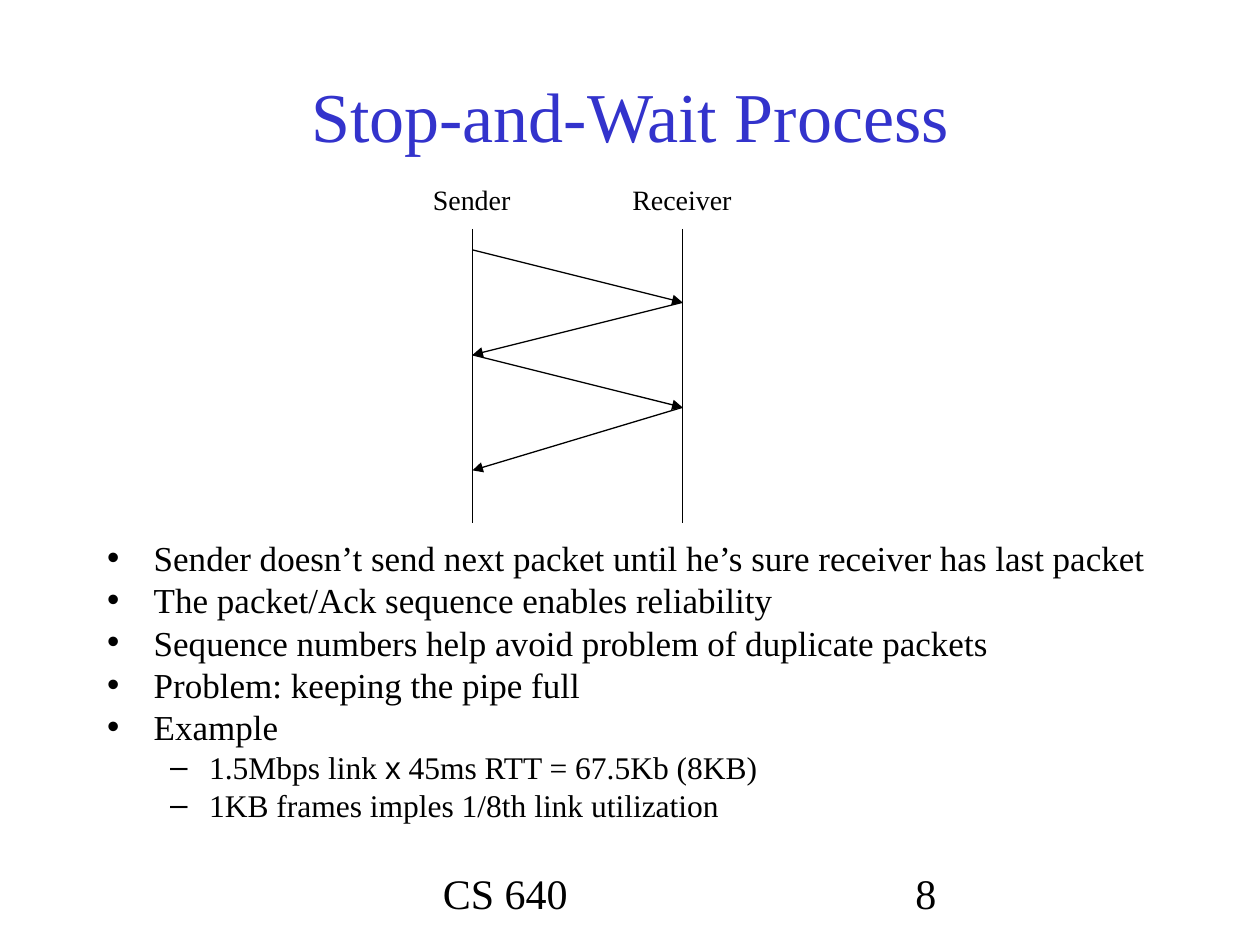
"""Builds the Stop-and-Wait Process slide with its packet exchange diagram."""
from dataclasses import dataclass

from lxml.etree import SubElement
from pptx import Presentation
from pptx.dml.color import RGBColor
from pptx.enum.shapes import MSO_CONNECTOR
from pptx.enum.text import MSO_ANCHOR, MSO_AUTO_SIZE, PP_ALIGN
from pptx.oxml.ns import qn
from pptx.util import Emu, Inches, Pt

COLORS = {"title": "3333CC", "ink": "000000"}
SERIF, SANS = "Times New Roman", "Arial"
WIDTH, HEIGHT = Inches(10), Inches(7.5)
COLUMNS, ROWS = 120, 90
SENDER, RECEIVER = 45, 65
LIFELINE_TOP, LIFELINE_BOTTOM = 21.8, 49.8
EVENT_ROWS = (23.8, 28.8, 33.8, 38.8, 44.8)


@dataclass(frozen=True)
class Box:
    left: float
    top: float
    width: float
    height: float


@dataclass(frozen=True)
class Label:
    text: str
    box: Box
    size: float
    wrap: bool


@dataclass(frozen=True)
class Level:
    bullet: str
    size: float
    margin: float
    hanging: float
    space_before: float


@dataclass(frozen=True)
class Item:
    level: int
    runs: tuple[tuple[str, str], ...]


LEVELS = (Level("•", 20, 0.37, 0.37, 5), Level("–", 18, 0.81, 0.31, 4.5))
ITEMS = (
    Item(0, (("Sender doesn’t send next packet until he’s sure receiver has last packet", SERIF),)),
    Item(0, (("The packet/Ack sequence enables reliability", SERIF),)),
    Item(0, (("Sequence numbers help avoid problem of duplicate packets", SERIF),)),
    Item(0, (("Problem: keeping the pipe full", SERIF),)),
    Item(0, (("Example", SERIF),)),
    Item(1, (("1.5Mbps link ", SERIF), ("x", SANS), (" 45ms RTT = 67.5Kb (8KB)", SERIF))),
    Item(1, (("1KB frames imples 1/8th link utilization", SERIF),)),
)
LABELS = (
    Label("Sender", Box(40.05, 16.8, 9.9, 4.4), 16, False),
    Label("Receiver", Box(59.05, 16.8, 12, 4.4), 16, False),
    Label("CS 640", Box(41, 82, 38, 6), 24, True),
    Label("8", Box(86, 82, 25, 6), 24, True),
)


def across(columns: float) -> Emu:
    return Emu(round(WIDTH * columns / COLUMNS))


def down(rows: float) -> Emu:
    return Emu(round(HEIGHT * rows / ROWS))


def place(shape, box: Box) -> None:
    shape.left, shape.top = across(box.left), down(box.top)
    shape.width, shape.height = across(box.width), down(box.height)


def write(paragraph, text: str, *, size: float, font: str = SERIF, color: str = "ink") -> None:
    run = paragraph.add_run()
    run.text = text
    run.font.size = Pt(size)
    run.font.name = font
    run.font.color.rgb = RGBColor.from_string(COLORS[color])


def set_bullet(paragraph, level: Level) -> None:
    properties = paragraph._p.get_or_add_pPr()
    properties.set("marL", str(Inches(level.margin)))
    properties.set("indent", str(-Inches(level.hanging)))
    bullet_color = SubElement(properties, qn("a:buClr"))
    SubElement(bullet_color, qn("a:srgbClr"), val=COLORS["ink"])
    SubElement(properties, qn("a:buFont"), typeface=SANS)
    SubElement(properties, qn("a:buChar"), char=level.bullet)


def fill_title(shape) -> None:
    place(shape, Box(9, 6.25, 102, 9.3))
    frame = shape.text_frame
    frame.auto_size = MSO_AUTO_SIZE.NONE
    frame.vertical_anchor = MSO_ANCHOR.MIDDLE
    frame.paragraphs[0].alignment = PP_ALIGN.CENTER
    write(frame.paragraphs[0], "Stop-and-Wait Process", size=40, color="title")


def fill_body(shape) -> None:
    place(shape, Box(9, 51.25, 102, 30.5))
    frame = shape.text_frame
    frame.auto_size = MSO_AUTO_SIZE.NONE
    for index, item in enumerate(ITEMS):
        paragraph = frame.add_paragraph() if index else frame.paragraphs[0]
        level = LEVELS[item.level]
        paragraph.level = item.level
        paragraph.line_spacing = 0.8
        paragraph.space_before = Pt(level.space_before)
        set_bullet(paragraph, level)
        for text, font in item.runs:
            write(paragraph, text, size=level.size, font=font)


def add_label(slide, label: Label) -> None:
    shape = slide.shapes.add_textbox(0, 0, 0, 0)
    place(shape, label.box)
    frame = shape.text_frame
    frame.word_wrap = label.wrap
    frame.auto_size = MSO_AUTO_SIZE.NONE if label.wrap else MSO_AUTO_SIZE.SHAPE_TO_FIT_TEXT
    write(frame.paragraphs[0], label.text, size=label.size)


def add_line(slide, start: tuple[float, float], end: tuple[float, float], arrow: bool = False) -> None:
    connector = slide.shapes.add_connector(
        MSO_CONNECTOR.STRAIGHT, across(start[0]), down(start[1]), across(end[0]), down(end[1])
    )
    connector.line.width = Pt(0.75)
    connector.line.color.rgb = RGBColor.from_string(COLORS["ink"])
    if arrow:
        SubElement(connector.line._get_or_add_ln(), qn("a:tailEnd"), type="triangle")
    SubElement(connector._element.spPr, qn("a:effectLst"))


def main() -> None:
    presentation = Presentation()
    presentation.slide_width, presentation.slide_height = WIDTH, HEIGHT
    slide = presentation.slides.add_slide(presentation.slide_layouts[1])
    fill_title(slide.shapes.title)
    fill_body(slide.placeholders[1])
    for column in (SENDER, RECEIVER):
        add_line(slide, (column, LIFELINE_TOP), (column, LIFELINE_BOTTOM))
    events = [((SENDER, RECEIVER)[index % 2], row) for index, row in enumerate(EVENT_ROWS)]
    for start, end in zip(events, events[1:]):
        add_line(slide, start, end, arrow=True)
    for label in LABELS:
        add_label(slide, label)
    presentation.save("out.pptx")


if __name__ == "__main__":
    main()
